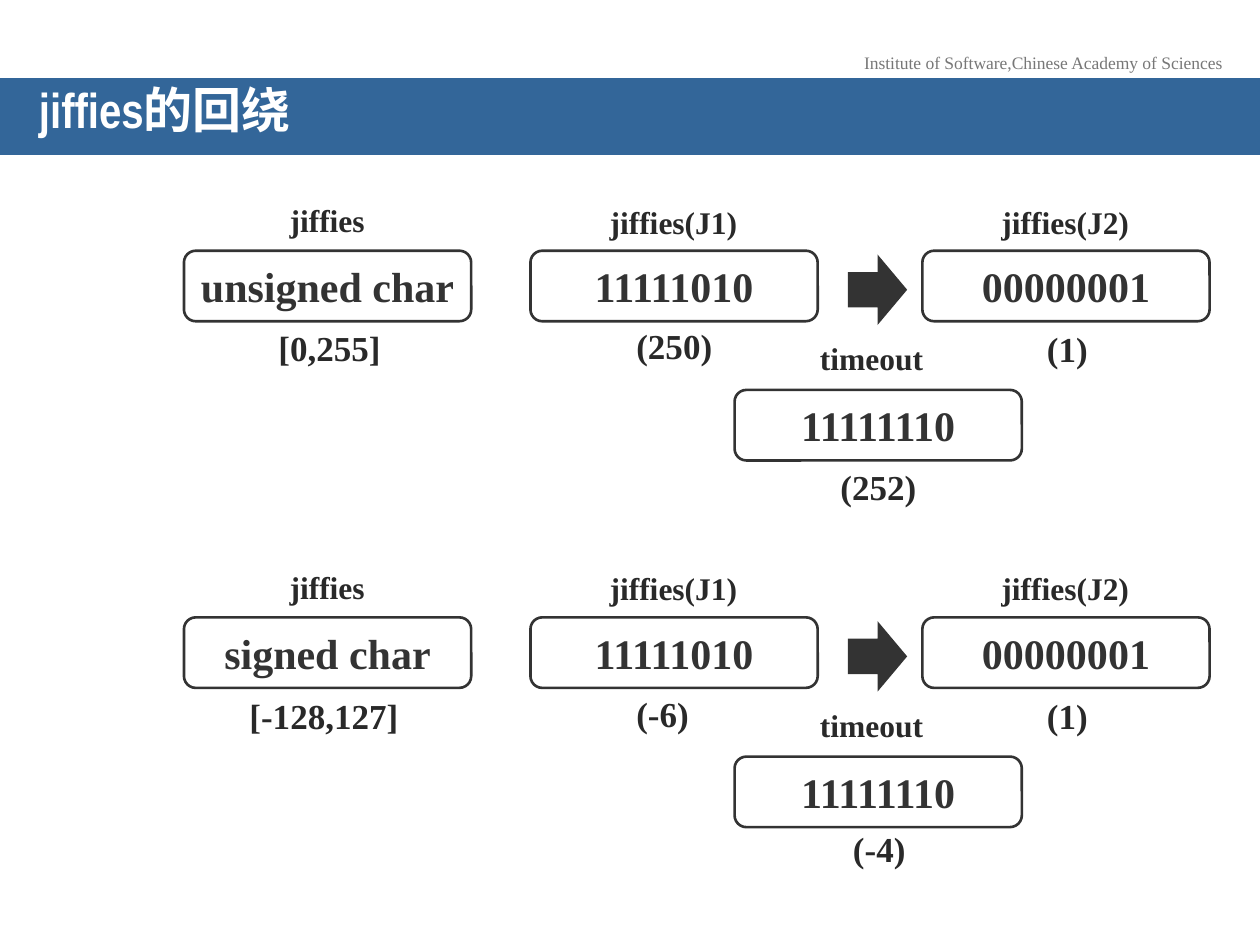
from pptx import Presentation
from pptx.dml.color import RGBColor
from pptx.enum.shapes import MSO_SHAPE
from pptx.enum.text import MSO_ANCHOR, PP_ALIGN
from pptx.util import Inches, Pt

COLUMNS, ROWS = 100, 75
SERIF, NARROW = "Times New Roman", "Arial Narrow"
WHITE, BLUE, GREY, DARK, INK = "FFFFFF", "336699", "777777", "333333", "292929"

BOX_WIDTH, BOX_HEIGHT = 22.8, 5.6
# Box column and row offset, then label text, column offset, row offset, width
REGISTERS = [
    (14.6, 0, "jiffies", 7.4, -4.4, 8.1),
    (42.1, 0, "jiffies(J1)", 5.3, -4.3, 12.3),
    (58.3, 11.05, "timeout", 5.8, -4.5, 10.3),
    (73.2, 0, "jiffies(J2)", 5.3, -4.3, 12.3),
]
# First row, then for each register: content, value, value column offset, row offset, width
GROUPS = [
    (19.9, [
        ("unsigned char", "[0,255]", 1.5, 5.5, 15.2),
        ("11111010", "(250)", 2.4, 5.4, 13.1),
        ("11111110", "(252)", 2.4, 5.5, 13.1),
        ("00000001", "(1)", 3.9, 5.6, 10.3),
    ]),
    (49.0, [
        ("signed char", "[-128,127]", -0.8, 5.6, 19),
        ("11111010", "(-6)", 2.4, 5.5, 11.3),
        ("11111110", "(-4)", 3.4, 5.1, 11.3),
        ("00000001", "(1)", 3.9, 5.6, 10.3),
    ]),
]


def color(hex_value):
    return RGBColor.from_string(hex_value)


class SlideBuilder:
    def __init__(self, presentation):
        self.column = presentation.slide_width / COLUMNS
        self.row = presentation.slide_height / ROWS
        self.slide = presentation.slides.add_slide(presentation.slide_layouts[6])

    def place(self, left, top, width, height):
        """Turn grid columns and rows into slide lengths."""
        return (round(left * self.column), round(top * self.row),
                round(width * self.column), round(height * self.row))

    def set_text(self, shape, text, size, hex_value, font=SERIF, bold=True):
        paragraph = shape.text_frame.paragraphs[0]
        paragraph.text = text
        paragraph.font.name = font
        paragraph.font.size = Pt(size)
        paragraph.font.bold = bold
        paragraph.font.color.rgb = color(hex_value)
        return paragraph

    def shape(self, kind, area, fill, line=None):
        shape = self.slide.shapes.add_shape(kind, *self.place(*area))
        shape.shadow.inherit = False
        shape.fill.solid()
        shape.fill.fore_color.rgb = color(fill)
        if line:
            shape.line.color.rgb = color(line)
            shape.line.width = Pt(1.5)
        else:
            shape.line.fill.background()
        return shape

    def text(self, area, text, size, hex_value=INK, bold=True, inset=0.1):
        box = self.slide.shapes.add_textbox(*self.place(*area))
        box.text_frame.word_wrap = False
        box.text_frame.margin_left = Inches(inset)
        self.set_text(box, text, size, hex_value, bold=bold)

    def title(self, area, text):
        band = self.shape(MSO_SHAPE.RECTANGLE, area, BLUE)
        frame = band.text_frame
        frame.vertical_anchor = MSO_ANCHOR.MIDDLE
        frame.margin_left = frame.margin_right = Inches(0.31)
        paragraph = self.set_text(band, text, 28, WHITE, NARROW)
        paragraph.alignment = PP_ALIGN.LEFT
        paragraph.line_spacing = 0.7

    def register(self, left, top, content):
        area = (left, top, BOX_WIDTH, BOX_HEIGHT)
        box = self.shape(MSO_SHAPE.ROUNDED_RECTANGLE, area, WHITE, DARK)
        box.text_frame.word_wrap = True
        self.set_text(box, content, 24, DARK).alignment = PP_ALIGN.CENTER

    def arrow(self, left, top):
        self.shape(MSO_SHAPE.RIGHT_ARROW, (left, top, 4.7, BOX_HEIGHT), DARK)

    def group(self, first_row, contents):
        for register, value in zip(REGISTERS, contents):
            left, drop, label, label_left, label_top, label_width = register
            content, number, number_left, number_top, number_width = value
            top = first_row + drop
            self.register(left, top, content)
            self.text((left + number_left, top + number_top, number_width, 4.4),
                      number, 20, inset=0.6)
            self.text((left + label_left, top + label_top, label_width, 4), label, 18)
        self.arrow(67.3, first_row + 0.3)


def main():
    presentation = Presentation()
    presentation.slide_width, presentation.slide_height = Inches(10), Inches(7.5)
    builder = SlideBuilder(presentation)
    builder.text((67.6, 3.6, 31, 2.7), "Institute of Software,Chinese Academy of Sciences",
                 10, GREY, bold=False)
    builder.title((0, 6.2, COLUMNS, 6.1), "jiffies的回绕")
    for first_row, contents in GROUPS:
        builder.group(first_row, contents)
    presentation.save("out.pptx")


if __name__ == "__main__":
    main()
